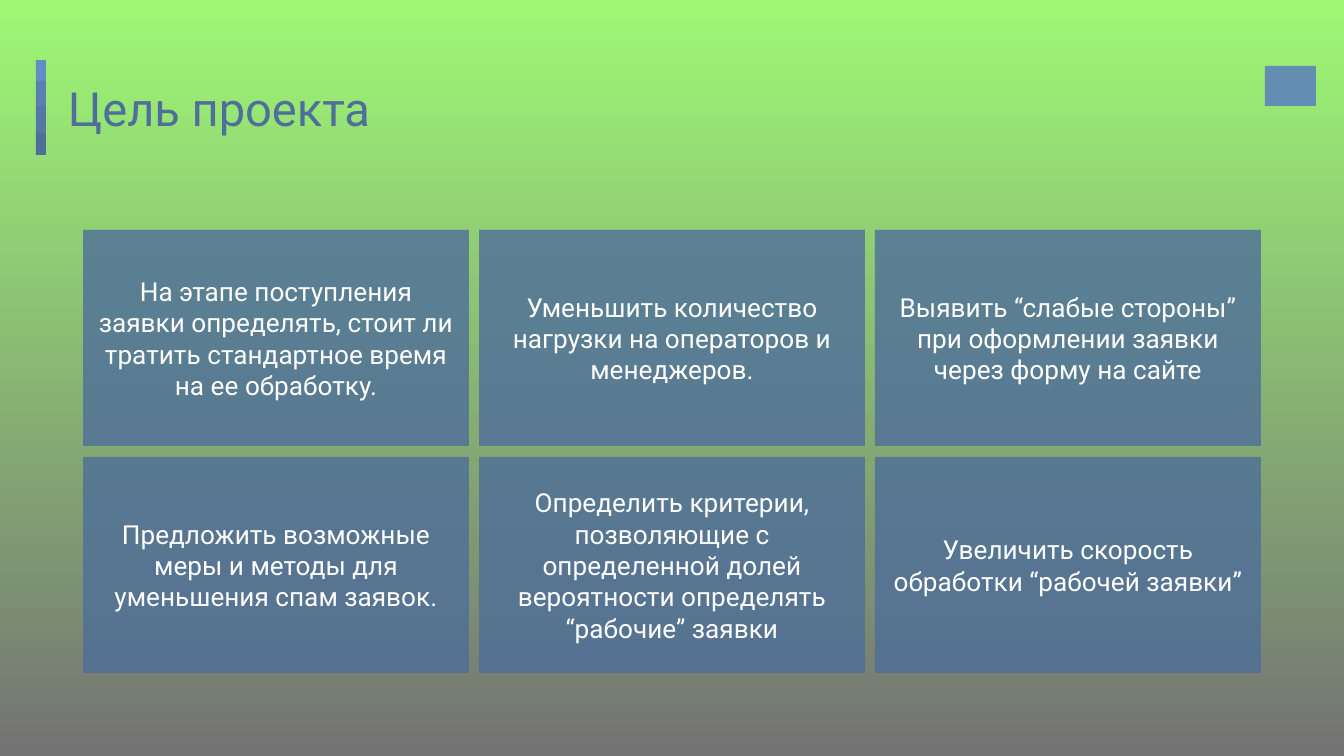
from lxml.etree import SubElement
from pptx import Presentation
from pptx.dml.color import RGBColor
from pptx.enum.shapes import MSO_SHAPE as Shape
from pptx.enum.text import MSO_ANCHOR as Anchor, MSO_AUTO_SIZE as AutoSize, PP_ALIGN as Align
from pptx.oxml.ns import qn
from pptx.util import Pt

SCALE = 914400 / 134.4  # EMU in one px
FONT = "Roboto"
MARGIN = 13
COLORS = {
    "top": "9EF874",
    "bottom": "737373",
    "title": "4E6F9B",
    "card": "4E6E9A",
    "emblem": "5E85B9",
    "text": "FFFFFF",
}
# Accent bar segments from top to bottom: height, colour
SEGMENTS = [(21, "648DC6"), (25, "5A7FB3"), (27, "5477A7"), (22, "4E6E9A")]
GOALS = [
    "На этапе поступления заявки определять, стоит ли тратить стандартное время на ее обработку.",
    "Уменьшить количество нагрузки на операторов и менеджеров.",
    "Выявить “слабые стороны” при оформлении заявки через форму на сайте",
    "Предложить возможные меры и методы для уменьшения спам заявок.",
    "Определить критерии, позволяющие с определенной долей вероятности определять “рабочие” заявки",
    "Увеличить скорость обработки “рабочей заявки”",
]


def px(n):
    return round(n * SCALE)


def rgb(value):
    return RGBColor.from_string(value)


def set_background(slide):
    fill = slide.background.fill
    fill.gradient()
    fill.gradient_angle = 270
    for stop, name in zip(fill.gradient_stops, ("top", "bottom")):
        stop.color.rgb = rgb(COLORS[name])


def add_block(slide, x, y, w, h, color, opacity=100):
    sp = slide.shapes.add_shape(Shape.RECTANGLE, px(x), px(y), px(w), px(h))
    sp.shadow.inherit = False
    sp.line.fill.background()
    sp.fill.solid()
    sp.fill.fore_color.rgb = rgb(color)
    if opacity < 100:
        clr = sp.fill._xPr.find(qn("a:solidFill"))[0]
        SubElement(clr, qn("a:alpha"), val=str(opacity * 1000))
    return sp


def write(sp, text, size, color, align, anchor):
    tf = sp.text_frame
    tf.word_wrap = True
    tf.auto_size = AutoSize.NONE
    tf.vertical_anchor = anchor
    tf.margin_left = tf.margin_right = tf.margin_top = tf.margin_bottom = px(MARGIN)
    p = tf.paragraphs[0]
    p.alignment = align
    r = p.add_run()
    r.text = text
    r.font.name = FONT
    r.font.size = Pt(size)
    r.font.color.rgb = rgb(color)


def add_title(slide, text):
    sp = slide.shapes.title
    sp.left, sp.top, sp.width, sp.height = px(55), px(66), px(1243), px(85)
    write(sp, text, 25.2, COLORS["title"], Align.LEFT, Anchor.TOP)


def add_accent_bar(slide):
    y = 60
    for height, color in SEGMENTS:
        add_block(slide, 36, y, 10, height, color)
        y += height


def add_cards(slide, left=83, top=230, w=386, h=216, gap_x=10, gap_y=11, columns=3):
    for i, goal in enumerate(GOALS):
        row, col = divmod(i, columns)
        card = add_block(slide, left + col * (w + gap_x), top + row * (h + gap_y),
                         w, h, COLORS["card"], 80)
        write(card, goal, 14, COLORS["text"], Align.CENTER, Anchor.MIDDLE)


def main():
    prs = Presentation()
    prs.slide_width, prs.slide_height = px(1344), px(756)
    slide = prs.slides.add_slide(prs.slide_layouts[5])
    set_background(slide)

    # Heading
    add_accent_bar(slide)
    add_title(slide, "Цель проекта")

    # Plain corner emblem
    add_block(slide, 1265, 66, 51, 40, COLORS["emblem"], 91)

    # Goals
    add_cards(slide)
    prs.save("out.pptx")


if __name__ == "__main__":
    main()
